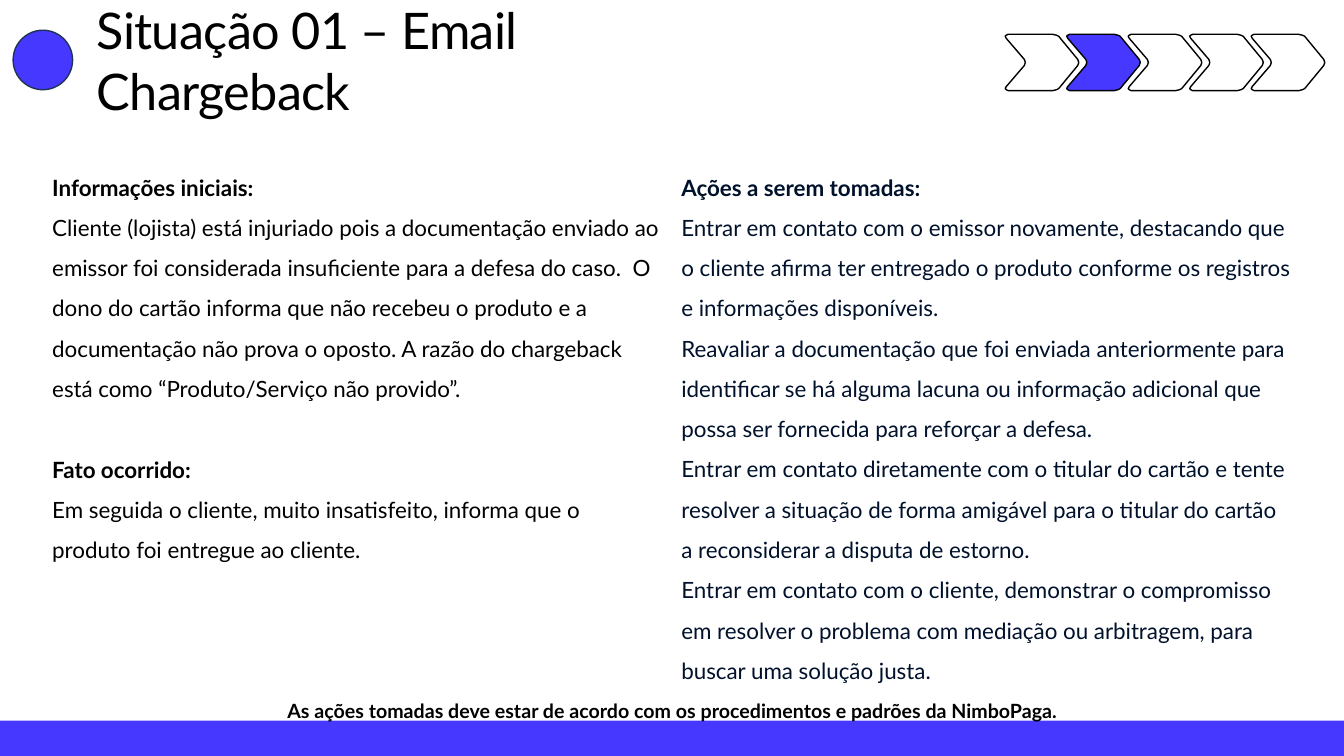
import pptx
import pptx.dml.color
import pptx.enum.shapes
import pptx.enum.text
import pptx.util

Inches = pptx.util.Inches
Pt = pptx.util.Pt
ALIGN = pptx.enum.text.PP_ALIGN
ANCHOR = pptx.enum.text.MSO_ANCHOR
SHAPE = pptx.enum.shapes.MSO_SHAPE

FONT = "Lato"
BLUE = "4738FF"
BLACK = "000000"
WHITE = "FFFFFF"
NAVY = "00112C"
EDGE = "1E3256"

STEPS = 5
ACTIVE = 1
PITCH = 0.61
TALL = 0.56
# Upper half of one chevron, from its right tip round to its inner notch.
UPPER = [(0.73, 0.28), (0.72, 0.25), (0.53, 0.02), (0.51, 0.01), (0.47, 0),
         (0.03, 0), (0.01, 0.01), (0, 0.02), (0.01, 0.04), (0.19, 0.25),
         (0.2, 0.28)]

FACTS = [
    ("Informações iniciais:", True),
    ("Cliente (lojista) está injuriado pois a documentação enviado ao emissor "
     "foi considerada insuficiente para a defesa do caso.  O dono do cartão "
     "informa que não recebeu o produto e a documentação não prova o oposto. "
     "A razão do chargeback está como “Produto/Serviço não provido”.", False),
    ("Fato ocorrido:", True),
    ("Em seguida o cliente, muito insatisfeito, informa que o produto foi "
     "entregue ao cliente.", False),
]
ACTIONS = [
    ("Ações a serem tomadas:", True),
    ("Entrar em contato com o emissor novamente, destacando que o cliente "
     "afirma ter entregado o produto conforme os registros e informações "
     "disponíveis.", False),
    ("Reavaliar a documentação que foi enviada anteriormente para identificar "
     "se há alguma lacuna ou informação adicional que possa ser fornecida "
     "para reforçar a defesa.", False),
    ("Entrar em contato diretamente com o titular do cartão e tente resolver "
     "a situação de forma amigável para o titular do cartão a reconsiderar a "
     "disputa de estorno.", False),
    ("Entrar em contato com o cliente, demonstrar o compromisso em resolver o "
     "problema com mediação ou arbitragem, para buscar uma solução justa.",
     False),
]
NOTE = [("As ações tomadas deve estar de acordo com os procedimentos e "
         "padrões da NimboPaga.", True)]


def color(code):
    return pptx.dml.color.RGBColor.from_string(code)


def paint(shape, fill=None, line=None):
    """Set fill and outline; None leaves that part empty."""
    shape.shadow.inherit = False
    if fill:
        shape.fill.solid()
        shape.fill.fore_color.rgb = color(fill)
    else:
        shape.fill.background()
    if line:
        shape.line.color.rgb = color(line)
        shape.line.width = Pt(1)
    else:
        shape.line.fill.background()


def style(run, size, code, bold=False):
    run.font.name = FONT
    run.font.size = Pt(size)
    run.font.bold = bold
    run.font.color.rgb = color(code)


def add_title(slide, text):
    title = slide.shapes.title
    title.left, title.top = Inches(0.96), Inches(0.28)
    title.width, title.height = Inches(6.53), Inches(0.62)
    frame = title.text_frame
    frame.text = text
    frame.word_wrap = True
    frame.auto_size = pptx.enum.text.MSO_AUTO_SIZE.NONE
    frame.vertical_anchor = ANCHOR.MIDDLE
    frame.margin_left = frame.margin_right = frame.margin_bottom = 0
    frame.margin_top = Inches(0.01)
    para = frame.paragraphs[0]
    para.alignment = ALIGN.LEFT
    para.space_before = Pt(1)
    run = para.runs[0]
    style(run, 36, BLACK)
    run._r.get_or_add_rPr().set("spc", "-50")


def add_shape(slide, kind, box, fill, line=None):
    shape = slide.shapes.add_shape(kind, *map(Inches, box))
    paint(shape, fill, line)


def add_step(slide, left, top, fill):
    """Draw one chevron of the progress row."""
    lower = [(x, TALL - y) for x, y in UPPER[-2:0:-1]]
    points = [(Inches(left + x), Inches(top + y)) for x, y in UPPER + lower]
    pen = slide.shapes.build_freeform(*points[0])
    pen.add_line_segments(points[1:], close=True)
    paint(pen.convert_to_shape(), fill, BLACK)


def add_text(slide, box, items, size, code, lead=1.0, align=ALIGN.LEFT):
    """Write (text, bold) items; a later heading gets one line of space."""
    frame = slide.shapes.add_textbox(*map(Inches, box)).text_frame
    frame.word_wrap = True
    frame.text = "\n".join(text for text, bold in items)
    for i, (para, (text, bold)) in enumerate(zip(frame.paragraphs, items)):
        para.alignment = align
        para.line_spacing = lead
        if bold and i:
            para.space_before = Pt(size * 1.2 * lead)
        style(para.runs[0], size, code, bold)


def main():
    deck = pptx.Presentation()
    deck.slide_width, deck.slide_height = Inches(13.33), Inches(7.5)
    slide = deck.slides.add_slide(deck.slide_layouts[5])
    add_title(slide, "Situação 01 – Email Chargeback")
    for i in range(STEPS):
        fill = BLUE if i == ACTIVE else WHITE
        add_step(slide, 9.97 + i * PITCH, 0.34, fill)
    add_shape(slide, SHAPE.RECTANGLE, (0, 7.15, 13.33, 0.35), BLUE)
    add_shape(slide, SHAPE.OVAL, (0.13, 0.3, 0.59, 0.59), BLUE, EDGE)
    add_text(slide, (0.42, 1.54, 6.24, 4.91), FACTS, 16, BLACK, 1.5)
    add_text(slide, (6.66, 1.54, 6.24, 5.31), ACTIONS, 16, NAVY, 1.5)
    add_text(slide, (1.83, 6.88, 9.68, 0.34), NOTE, 14, BLACK,
             align=ALIGN.CENTER)
    deck.save("out.pptx")


if __name__ == "__main__":
    main()
